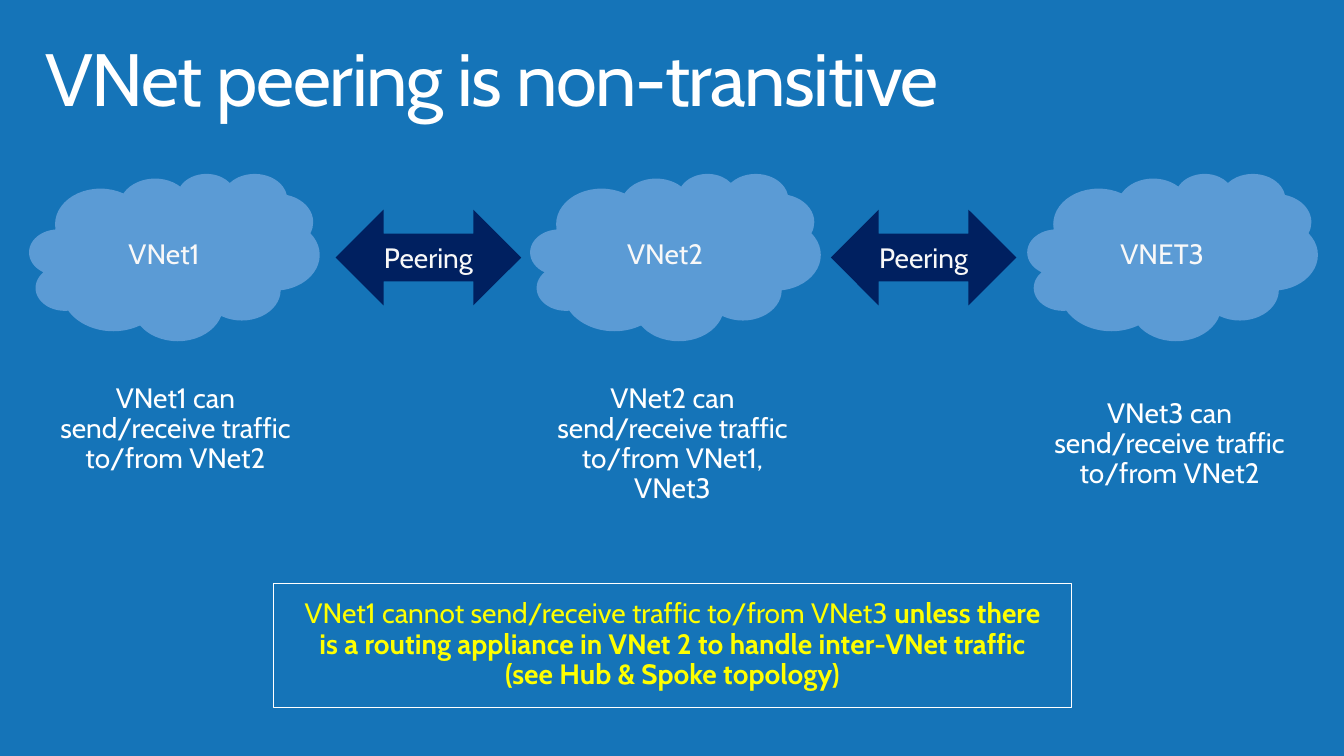
"""Build a slide on why VNet peering is non-transitive."""
import pptx
import pptx.util
import pptx.dml.color
import pptx.enum.shapes
import pptx.enum.text

Inches = pptx.util.Inches
Kind = pptx.enum.shapes.MSO_SHAPE
Align = pptx.enum.text.PP_ALIGN
Anchor = pptx.enum.text.MSO_ANCHOR
Fit = pptx.enum.text.MSO_AUTO_SIZE

COLORS = {
    "back": "1574B8",
    "cloud": "5B9BD5",
    "arrow": "002060",
    "label": "F8F8F8",
    "white": "FFFFFF",
    "warn": "FFFF00",
}


def paint(color, name):
    color.rgb = pptx.dml.color.RGBColor.from_string(COLORS[name])


def apply(target, values):
    for name, value in values.items():
        setattr(target, name, value)


def place(shape, box):
    names = ("left", "top", "width", "height")
    apply(shape, dict(zip(names, map(Inches, box))))


def write(frame, parts, color, size=20, side=0.2, edge=0.16,
          anchor=Anchor.TOP, fit=Fit.NONE, para=None):
    apply(frame, {
        "word_wrap": True,
        "auto_size": fit,
        "vertical_anchor": anchor,
        "margin_left": Inches(side),
        "margin_right": Inches(side),
        "margin_top": Inches(edge),
        "margin_bottom": Inches(edge),
    })
    line = frame.paragraphs[0]
    apply(line, para or {"alignment": Align.CENTER})
    for text, bold in parts:
        run = line.add_run()
        run.text = text
        apply(run.font, {"name": "Cabin", "size": pptx.util.Pt(size), "bold": bold})
        paint(run.font.color, color)
    return line


def add_title(slide, text):
    title = slide.shapes.title
    place(title, (0.29, 0.32, 12.62, 0.98))
    line = write(title.text_frame, [(text, False)], "white", 52.9, 0.16, 0.1,
                 para={"alignment": Align.LEFT, "line_spacing": 0.9})
    line.runs[0]._r.get_or_add_rPr().set("spc", "-100")


def add_node(slide, kind, box, fill, text):
    node = slide.shapes.add_shape(kind, *map(Inches, box))
    node.shadow.inherit = False
    node.fill.solid()
    paint(node.fill.fore_color, fill)
    node.line.fill.background()
    write(node.text_frame, [(text, False)], "label", side=0, edge=0.05,
          anchor=Anchor.MIDDLE)


def add_note(slide, box, parts, color):
    note = slide.shapes.add_textbox(*map(Inches, box))
    write(note.text_frame, parts, color, fit=Fit.SHAPE_TO_FIT_TEXT, para={
        "alignment": Align.CENTER,
        "line_spacing": 0.9,
        "space_after": pptx.util.Pt(6),
    })
    return note


def main():
    deck = pptx.Presentation()
    apply(deck, {"slide_width": Inches(13.33), "slide_height": Inches(7.5)})
    slide = deck.slides.add_slide(deck.slide_layouts[5])
    slide.background.fill.solid()
    paint(slide.background.fill.fore_color, "back")
    add_title(slide, "VNet peering is non-transitive")

    for left, name in ((0.29, "VNet1"), (5.26, "VNet2"), (10.19, "VNET3")):
        add_node(slide, Kind.CLOUD, (left, 1.72, 2.88, 1.66), "cloud", name)
    for left in (3.33, 8.24):
        add_node(slide, Kind.LEFT_RIGHT_ARROW, (left, 2.08, 1.84, 0.95),
                 "arrow", "Peering")

    for left, top, high, name, peers in (
        (0.3, 3.65, 1.25, "VNet1", "VNet2"),
        (5.23, 3.65, 1.56, "VNet2", "VNet1, VNet3"),
        (10.16, 3.8, 1.25, "VNet3", "VNet2"),
    ):
        text = f"{name} can send/receive traffic to/from {peers}"
        add_note(slide, (left, top, 2.88, high), [(text, False)], "white")

    rule = add_note(slide, (2.71, 5.79, 7.92, 1.23), [
        ("VNet1 cannot send/receive traffic to/from VNet3 ", False),
        ("unless there is a routing appliance in VNet 2 to handle "
         "inter-VNet traffic (see Hub & Spoke topology)", True),
    ], "warn")
    paint(rule.line.color, "white")
    rule.line.width = pptx.util.Pt(0.75)
    deck.save("out.pptx")


if __name__ == "__main__":
    main()
